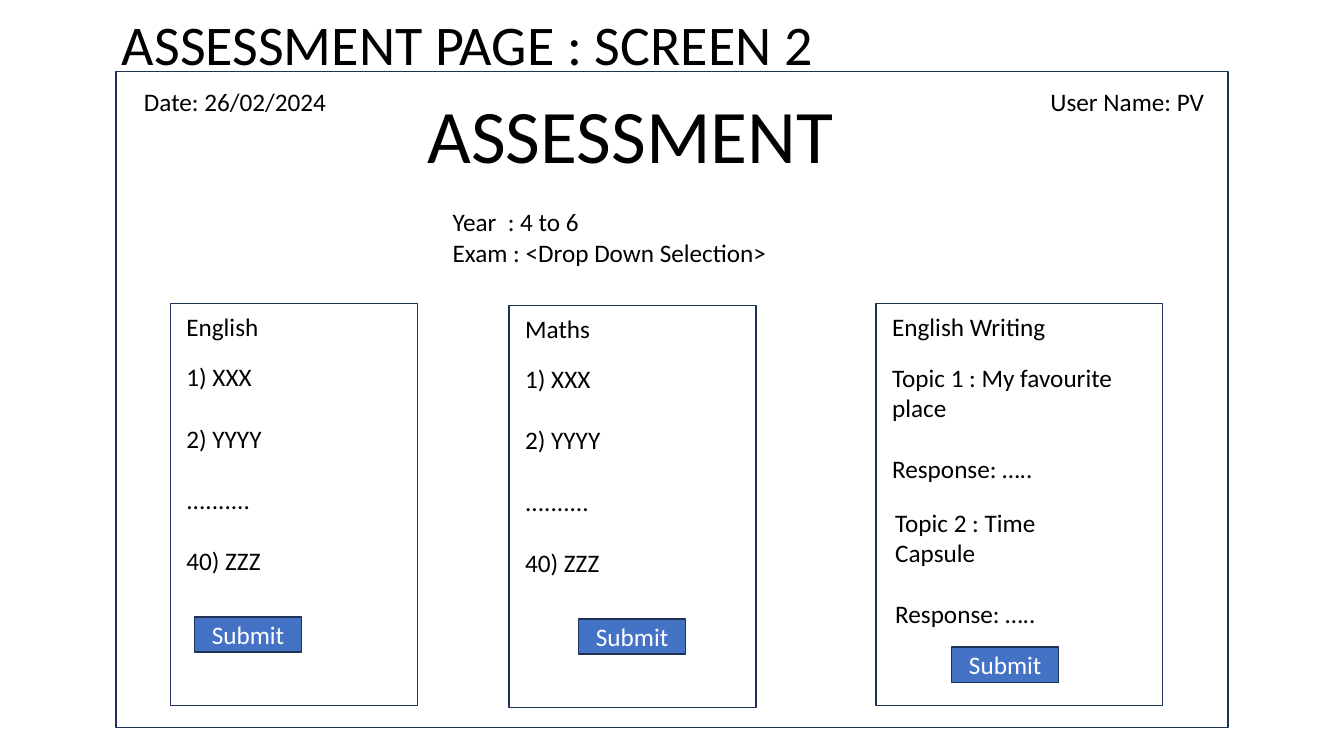
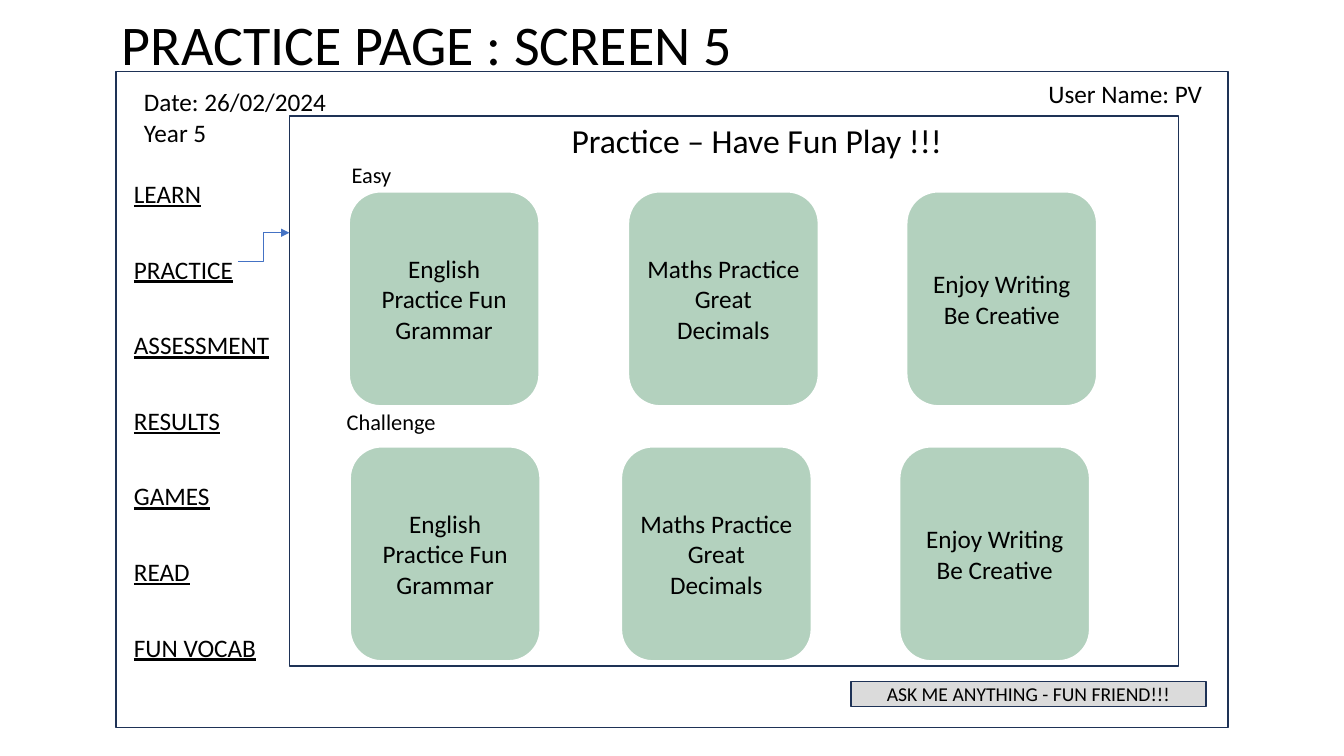
from lxml.etree import SubElement
from pptx import Presentation
from pptx.dml.color import RGBColor
from pptx.enum.shapes import MSO_CONNECTOR, MSO_SHAPE
from pptx.enum.text import MSO_ANCHOR, MSO_AUTO_SIZE, PP_ALIGN
from pptx.oxml.ns import qn
from pptx.util import Inches, Pt

FONT = "Calibri"
BLACK = RGBColor(0x00, 0x00, 0x00)
WHITE = RGBColor(0xFF, 0xFF, 0xFF)
NAVY = RGBColor(0x1E, 0x32, 0x56)
BLUE = RGBColor(0x44, 0x72, 0xC4)
GREEN = RGBColor(0xB3, 0xD1, 0xBE)
GREY = RGBColor(0xDB, 0xDB, 0xDB)

FRAME = (1.15, 0.71, 11.03, 6.51)
LINE_GAP = Pt(22)  # one empty line of 18 pt text
QUESTIONS = ["1) XXX", "2) YYYY", "..........", "40) ZZZ"]
MENU = ["LEARN", "PRACTICE", "ASSESSMENT", "RESULTS", "GAMES", "READ", "FUN VOCAB"]
CARDS = ["English Practice Fun Grammar", "Maths Practice Great Decimals",
         "Enjoy Writing Be Creative"]


def write(tf, lines, size=18, color=BLACK, underline=None, **paragraph_format):
    for i, line in enumerate(lines):
        p = tf.paragraphs[0] if i == 0 else tf.add_paragraph()
        for name, value in paragraph_format.items():
            setattr(p, name, value)
        r = p.add_run()
        r.text = line
        font = {"name": FONT, "size": Pt(size), "underline": underline}
        for name, value in font.items():
            setattr(r.font, name, value)
        r.font.color.rgb = color


def add_text(s, box, lines, wrap=False, **text_format):
    tf = s.shapes.add_textbox(*map(Inches, box)).text_frame
    tf.word_wrap = wrap
    tf.auto_size = MSO_AUTO_SIZE.SHAPE_TO_FIT_TEXT
    write(tf, lines, **text_format)


def add_box(s, box, fill=None, line=NAVY, width=1, text=None, size=18,
            color=BLACK, kind=MSO_SHAPE.RECTANGLE):
    sp = s.shapes.add_shape(kind, *map(Inches, box))
    sp.shadow.inherit = False
    if fill is None:
        sp.fill.background()
    else:
        sp.fill.solid()
        sp.fill.fore_color.rgb = fill
    sp.line.color.rgb = line
    sp.line.width = Pt(width)
    if text:
        sp.text_frame.word_wrap = True
        sp.text_frame.vertical_anchor = MSO_ANCHOR.MIDDLE
        write(sp.text_frame, [text], size, color, alignment=PP_ALIGN.CENTER)


def add_screen(prs, title, title_width, details, user_at):
    """Add a slide with its title, outer frame, date details and user name."""
    s = prs.slides.add_slide(prs.slide_layouts.get_by_name("Title Only"))
    sp = s.shapes.title
    sp.left, sp.top, sp.width, sp.height = map(Inches, (1.11, 0.04, title_width, 0.77))
    tf = sp.text_frame
    tf.word_wrap = False
    tf.auto_size = MSO_AUTO_SIZE.NONE
    tf.vertical_anchor = MSO_ANCHOR.TOP
    write(tf, [title], size=40, alignment=PP_ALIGN.LEFT)
    add_box(s, FRAME)
    add_text(s, (1.33, 0.81, 2.03, 0.4 if len(details) == 1 else 0.71), details)
    add_text(s, (*user_at, 1.74, 0.4), ["User Name: PV"])
    return s


def add_subject(s, box, heading, heading_width, bodies, submit_offset):
    """Add a panel; bodies holds (x, y, height, lines), measured from its corner."""
    left, top = box[:2]
    add_box(s, box)
    add_text(s, (left + 0.06, top + 0.03, heading_width, 0.4), [heading])
    for x, y, height, lines in bodies:
        add_text(s, (left + x, top + y, 2.39, height), lines, wrap=True,
                 space_after=LINE_GAP)
    dx, dy = submit_offset
    add_box(s, (left + dx, top + dy, 1.06, 0.35), fill=BLUE, text="Submit", color=WHITE)


def add_card_row(s, left, top, label, label_box, gaps):
    """Add a labelled row of practice cards, with a gap after each but the last."""
    add_text(s, label_box, [label], size=16)
    for text, gap in zip(CARDS, (*gaps, 0)):
        add_box(s, (left, top, 1.89, 2.13), fill=GREEN, line=WHITE, width=1.5,
                text=text, kind=MSO_SHAPE.ROUNDED_RECTANGLE)
        left += 1.89 + gap


def add_elbow_arrow(s, start, end):
    sp = s.shapes.add_connector(MSO_CONNECTOR.ELBOW, *map(Inches, (*start, *end)))
    sp.line.color.rgb = BLUE
    sp.line.width = Pt(0.5)
    SubElement(sp.line._get_or_add_ln(), qn("a:tailEnd"), type="triangle")
    SubElement(sp._element.spPr, qn("a:effectLst"))


def build_assessment(prs):
    s = add_screen(prs, "ASSESSMENT PAGE : SCREEN 2", 7.12,
                   ["Date: 26/02/2024"], (10.32, 0.81))
    add_text(s, (4.14, 0.82, 4.27, 1.01), ["ASSESSMENT"], size=54)
    add_text(s, (4.39, 2, 3.35, 0.71),
             ["Year  : 4 to 6", "Exam : <Drop Down Selection>"])
    questions = [(0.06, 0.53, 2.83, QUESTIONS)]
    topics = [(0.06, 0.53, 1.62, ["Topic 1 : My favourite place", "Response: ….."]),
              (0.09, 1.97, 1.62, ["Topic 2 : Time Capsule", "Response: ….."])]
    add_subject(s, (1.69, 3.01, 2.45, 3.99), "English", 0.92, questions, (0.24, 3.11))
    add_subject(s, (5.05, 3.03, 2.45, 3.99), "Maths", 0.85, questions, (0.69, 3.11))
    add_subject(s, (8.69, 3.01, 2.84, 3.99), "English Writing", 1.74, topics, (0.75, 3.41))


def build_practice(prs):
    s = add_screen(prs, "PRACTICE PAGE : SCREEN 5", 6.32,
                   ["Date: 26/02/2024", "Year 5"], (10.3, 0.73))
    add_text(s, (1.23, 1.27, 1.56, 6.04), MENU, wrap=True, underline=True,
             line_spacing=2.5)
    add_box(s, (2.87, 1.15, 8.82, 5.46))
    add_text(s, (5.57, 1.14, 3.92, 0.5), ["Practice – Have Fun Play !!!"], size=24)
    add_card_row(s, 3.46, 1.9, "Easy", (3.39, 1.55, 0.6, 0.37), (0.88, 0.87))
    add_card_row(s, 3.47, 4.43, "Challenge", (3.34, 4, 1.09, 0.37), (0.8, 0.87))
    add_box(s, (8.44, 6.76, 3.52, 0.25), fill=GREY, size=14,
            text="ASK ME ANYTHING - FUN FRIEND!!!")
    add_elbow_arrow(s, (2.36, 2.59), (2.87, 2.31))


def main():
    prs = Presentation()
    prs.slide_width, prs.slide_height = Inches(13.33), Inches(7.5)
    build_assessment(prs)
    build_practice(prs)
    prs.save("out.pptx")


if __name__ == "__main__":
    main()
